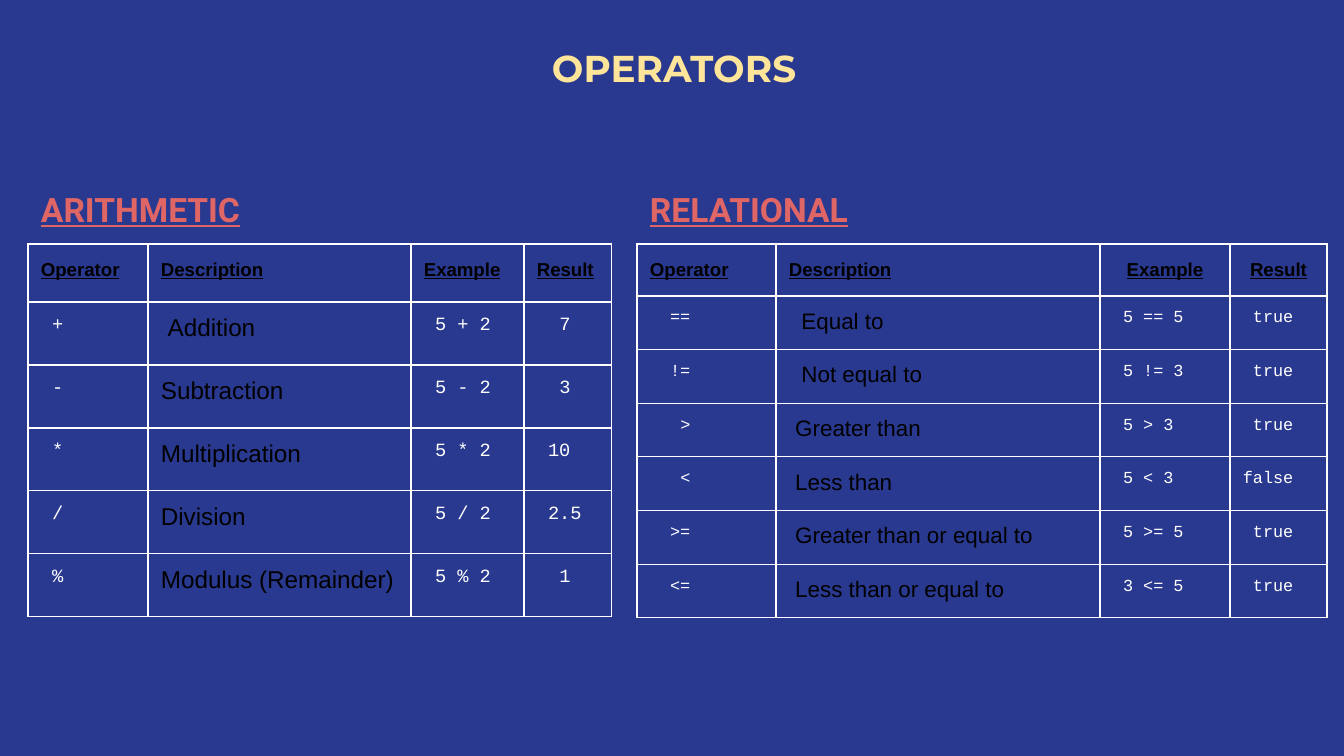
import dataclasses
import typing

import pptx
import pptx.dml.color
import pptx.enum.text
import pptx.oxml
import pptx.oxml.ns
import pptx.util

PX_PER_INCH = 134.4
INSET = 13
ROW_TOP = 244
HEADERS = ("Operator", "Description", "Example", "Result")
WHITE = "FFFFFF"
BLACK = "000000"
LEFT = pptx.enum.text.PP_ALIGN.LEFT
CENTER = pptx.enum.text.PP_ALIGN.CENTER


class Style(typing.NamedTuple):
    font: str
    size: int
    color: str
    bold: bool = False
    underline: bool = False


class Operation(typing.NamedTuple):
    texts: tuple[str, str, str, str]
    indents: tuple[int, int, int, int]


@dataclasses.dataclass
class Panel:
    heading: str
    left: int
    widths: tuple[int, ...]
    header_height: int
    total_height: int
    code_size: int
    description_size: int
    header_alignments: tuple
    operations: list[Operation]


TITLE = Style("Montserrat", 20, "FFE599", bold=True)
HEADING = Style("Roboto", 18, "E06666", bold=True, underline=True)
HEADER = Style("Arial", 10, BLACK, bold=True, underline=True)
SPACE_WIDTHS = {"Arial": 0.28, "Courier New": 0.6}

PANELS = [
    Panel("ARITHMETIC", 28, (120, 263, 113, 88), 58, 373, 10, 13, (LEFT,) * 4, [
        Operation(("+", "Addition", "5 + 2", "7"), (1, 1, 1, 2)),
        Operation(("-", "Subtraction", "5 - 2", "3"), (1, 0, 1, 2)),
        Operation(("*", "Multiplication", "5 * 2", "10"), (1, 0, 1, 1)),
        Operation(("/", "Division", "5 / 2", "2.5"), (1, 0, 1, 1)),
        Operation(("%", "Modulus (Remainder)", "5 % 2", "1"), (1, 0, 1, 2)),
    ]),
    Panel("RELATIONAL", 637, (139, 324, 130, 97), 52, 374, 9, 12,
          (LEFT, LEFT, CENTER, CENTER), [
        Operation(("==", "Equal to", "5 == 5", "true"), (2, 2, 1, 1)),
        Operation(("!=", "Not equal to", "5 != 3", "true"), (2, 2, 1, 1)),
        Operation((">", "Greater than", "5 > 3", "true"), (3, 1, 1, 1)),
        Operation(("<", "Less than", "5 < 3", "false"), (3, 1, 1, 0)),
        Operation((">=", "Greater than or equal to", "5 >= 5", "true"), (2, 1, 1, 1)),
        Operation(("<=", "Less than or equal to", "3 <= 5", "true"), (2, 1, 1, 1)),
    ]),
]


def px(length: float) -> pptx.util.Emu:
    return pptx.util.Emu(round(length * 914400 / PX_PER_INCH))


def rgb(color: str) -> pptx.dml.color.RGBColor:
    return pptx.dml.color.RGBColor.from_string(color)


def write(para, text: str, style: Style) -> None:
    para.text = text
    font = para.font
    font.name = style.font
    font.size = pptx.util.Pt(style.size)
    font.bold = style.bold
    font.underline = style.underline
    font.color.rgb = rgb(style.color)


def set_margins(target, left: float = INSET) -> None:
    target.margin_left = px(left)
    target.margin_right = target.margin_top = target.margin_bottom = px(INSET)


def add_label(page, left: int, top: int, width: int, height: int,
              text: str, style: Style) -> None:
    box = page.shapes.add_textbox(px(left), px(top), px(width), px(height))
    frame = box.text_frame
    frame.word_wrap = True
    set_margins(frame)
    write(frame.paragraphs[0], text, style)


def add_borders(cell) -> None:
    properties = cell._tc.get_or_add_tcPr()
    for side in ("lnL", "lnR", "lnT", "lnB"):
        properties.append(pptx.oxml.parse_xml(
            f'<a:{side} {pptx.oxml.ns.nsdecls("a")} w="{pptx.util.Pt(0.75)}">'
            f'<a:solidFill><a:srgbClr val="{WHITE}"/></a:solidFill></a:{side}>'))


def fill_cell(cell, text: str, style: Style, indent: int = 0):
    space = SPACE_WIDTHS[style.font] * style.size * PX_PER_INCH / 72
    set_margins(cell, INSET + indent * space)
    add_borders(cell)
    cell.fill.background()
    para = cell.text_frame.paragraphs[0]
    write(para, text, style)
    return para


def add_panel(page, panel: Panel) -> None:
    count = len(panel.operations)
    table = page.shapes.add_table(
        count + 1, len(HEADERS), px(panel.left), px(ROW_TOP),
        px(sum(panel.widths)), px(panel.total_height)).table
    table.first_row = table.horz_banding = False
    for column, width in zip(table.columns, panel.widths):
        column.width = px(width)
    body_height = (panel.total_height - panel.header_height) / count
    for index, row in enumerate(table.rows):
        row.height = px(body_height if index else panel.header_height)

    for column, (text, alignment) in enumerate(zip(HEADERS, panel.header_alignments)):
        para = fill_cell(table.cell(0, column), text, HEADER)
        para.alignment = alignment
        para.line_spacing = 1.15

    code = Style("Courier New", panel.code_size, WHITE)
    description = Style("Arial", panel.description_size, BLACK)
    styles = (code, description, code, code)
    for row, operation in enumerate(panel.operations, 1):
        for column, (text, indent) in enumerate(zip(operation.texts, operation.indents)):
            fill_cell(table.cell(row, column), text, styles[column], indent)

    add_label(page, panel.left, 176, 227, 67, panel.heading, HEADING)


def main() -> None:
    deck = pptx.Presentation()
    deck.slide_width, deck.slide_height = px(1344), px(756)
    page = deck.slides.add_slide(deck.slide_layouts[6])
    page.background.fill.solid()
    page.background.fill.fore_color.rgb = rgb("2A3990")
    add_label(page, 539, 32, 308, 73, "OPERATORS", TITLE)
    for panel in PANELS:
        add_panel(page, panel)
    deck.save("out.pptx")


if __name__ == "__main__":
    main()
